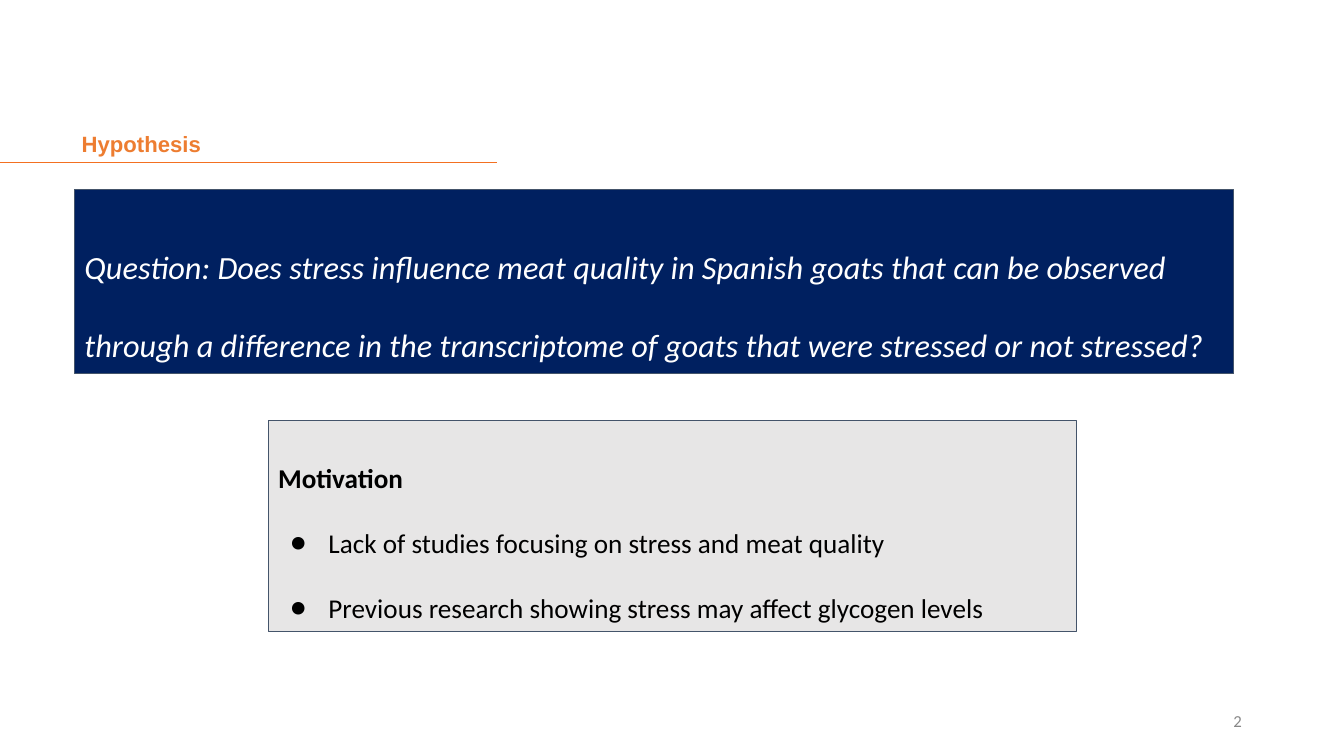
from dataclasses import dataclass

from lxml.etree import SubElement
from pptx import Presentation
from pptx.dml.color import RGBColor
from pptx.enum.shapes import MSO_CONNECTOR, MSO_SHAPE
from pptx.enum.text import MSO_ANCHOR, MSO_AUTO_SIZE, PP_ALIGN
from pptx.oxml.ns import qn
from pptx.slide import Slide
from pptx.text.text import TextFrame, _Paragraph
from pptx.util import Pt

NAVY = RGBColor(0x00, 0x20, 0x60)
SLATE = RGBColor(0x44, 0x54, 0x6A)
LIGHT_GRAY = RGBColor(0xE7, 0xE6, 0xE6)
NUMBER_GRAY = RGBColor(0x88, 0x88, 0x88)
ORANGE = RGBColor(0xED, 0x7D, 0x31)
RULE_ORANGE = RGBColor(0xF3, 0x70, 0x21)
WHITE = RGBColor(0xFF, 0xFF, 0xFF)
BLACK = RGBColor(0x00, 0x00, 0x00)

INSET = 7.2


@dataclass(frozen=True)
class Line:
    text: str
    size: float
    color: RGBColor
    font: str = "Calibri"
    bold: bool = False
    italic: bool = False
    bullet: bool = False
    spacing: float = 1.0
    align: PP_ALIGN = PP_ALIGN.LEFT


@dataclass(frozen=True)
class Panel:
    left: float
    top: float
    width: float
    height: float
    fill: RGBColor
    anchor: MSO_ANCHOR
    lines: tuple[Line, ...]


PANELS = (
    Panel(53.28, 135.36, 828, 131.76, NAVY, MSO_ANCHOR.BOTTOM, (
        Line("Question: Does stress influence meat quality in Spanish goats that can be "
             "observed through a difference in the transcriptome of goats that were "
             "stressed or not stressed?", 23.1, WHITE, italic=True, spacing=2.0),
    )),
    Panel(191.52, 300.24, 577.44, 151.2, LIGHT_GRAY, MSO_ANCHOR.MIDDLE, (
        Line("Motivation", 19.4, BLACK, bold=True, spacing=2.0),
        Line("Lack of studies focusing on stress and meat quality",
             19.4, BLACK, bullet=True, spacing=2.0),
        Line("Previous research showing stress may affect glycogen levels",
             19.4, BLACK, bullet=True, spacing=2.0),
    )),
)


def add_bullet(p: _Paragraph, color: RGBColor) -> None:
    """Give the paragraph a hanging round bullet."""
    pPr = p._p.get_or_add_pPr()
    pPr.set("marL", str(Pt(36)))
    pPr.set("indent", str(-Pt(27.36)))
    bu_clr = SubElement(pPr, qn("a:buClr"))
    SubElement(bu_clr, qn("a:srgbClr"), val=str(color))
    SubElement(pPr, qn("a:buFont"), typeface="Calibri")
    SubElement(pPr, qn("a:buChar"), char="●")


def fill_text(tf: TextFrame, lines: tuple[Line, ...], anchor: MSO_ANCHOR,
              inset_y: float) -> None:
    tf.word_wrap = True
    tf.auto_size = MSO_AUTO_SIZE.NONE
    tf.vertical_anchor = anchor
    tf.margin_left = tf.margin_right = Pt(INSET)
    tf.margin_top = tf.margin_bottom = Pt(inset_y)
    for i, line in enumerate(lines):
        p = tf.add_paragraph() if i else tf.paragraphs[0]
        p.alignment = line.align
        p.line_spacing = line.spacing
        if line.bullet:
            add_bullet(p, line.color)
        r = p.add_run()
        r.text = line.text
        r.font.name = line.font
        r.font.size = Pt(line.size)
        r.font.bold = line.bold
        r.font.italic = line.italic
        r.font.color.rgb = line.color


def add_title(s: Slide) -> None:
    sp = s.shapes.title
    sp.left, sp.top, sp.width, sp.height = Pt(51.12), Pt(38.88), Pt(828), Pt(77.04)
    title = Line("Hypothesis", 15.8, ORANGE, font="Arial", bold=True, spacing=0.9)
    fill_text(sp.text_frame, (title,), MSO_ANCHOR.BOTTOM, INSET / 2)


def add_title_rule(s: Slide) -> None:
    rule = s.shapes.add_connector(MSO_CONNECTOR.STRAIGHT,
                                  Pt(0), Pt(115.92), Pt(354.96), Pt(115.92))
    rule.line.color.rgb = RULE_ORANGE
    rule.line.width = Pt(1)
    SubElement(rule._element.spPr, qn("a:effectLst"))


def add_panel(s: Slide, panel: Panel) -> None:
    sp = s.shapes.add_shape(MSO_SHAPE.RECTANGLE, Pt(panel.left), Pt(panel.top),
                            Pt(panel.width), Pt(panel.height))
    sp.shadow.inherit = False
    sp.fill.solid()
    sp.fill.fore_color.rgb = panel.fill
    sp.line.color.rgb = SLATE
    sp.line.width = Pt(0.75)
    fill_text(sp.text_frame, panel.lines, panel.anchor, INSET)


def add_slide_number(s: Slide) -> None:
    sp = s.shapes.add_textbox(Pt(678.24), Pt(500.4), Pt(216), Pt(28.8))
    number = Line("2", 12, NUMBER_GRAY, align=PP_ALIGN.RIGHT)
    fill_text(sp.text_frame, (number,), MSO_ANCHOR.MIDDLE, INSET / 2)


def main() -> None:
    prs = Presentation()
    prs.slide_width, prs.slide_height = Pt(960), Pt(540)
    s = prs.slides.add_slide(prs.slide_layouts.get_by_name("Title Only"))
    add_title_rule(s)
    add_title(s)
    for panel in PANELS:
        add_panel(s, panel)
    add_slide_number(s)
    prs.save("out.pptx")


if __name__ == "__main__":
    main()
